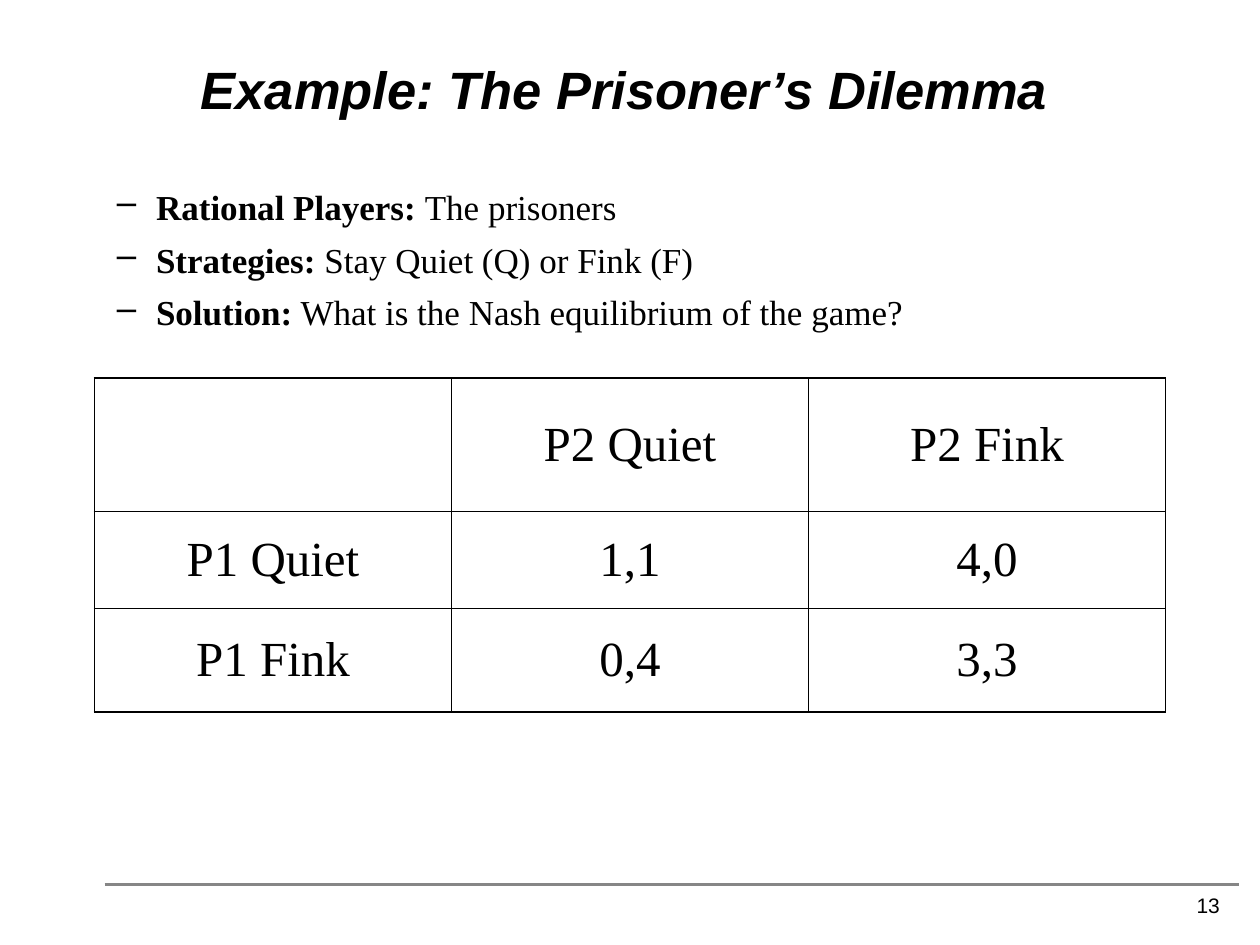
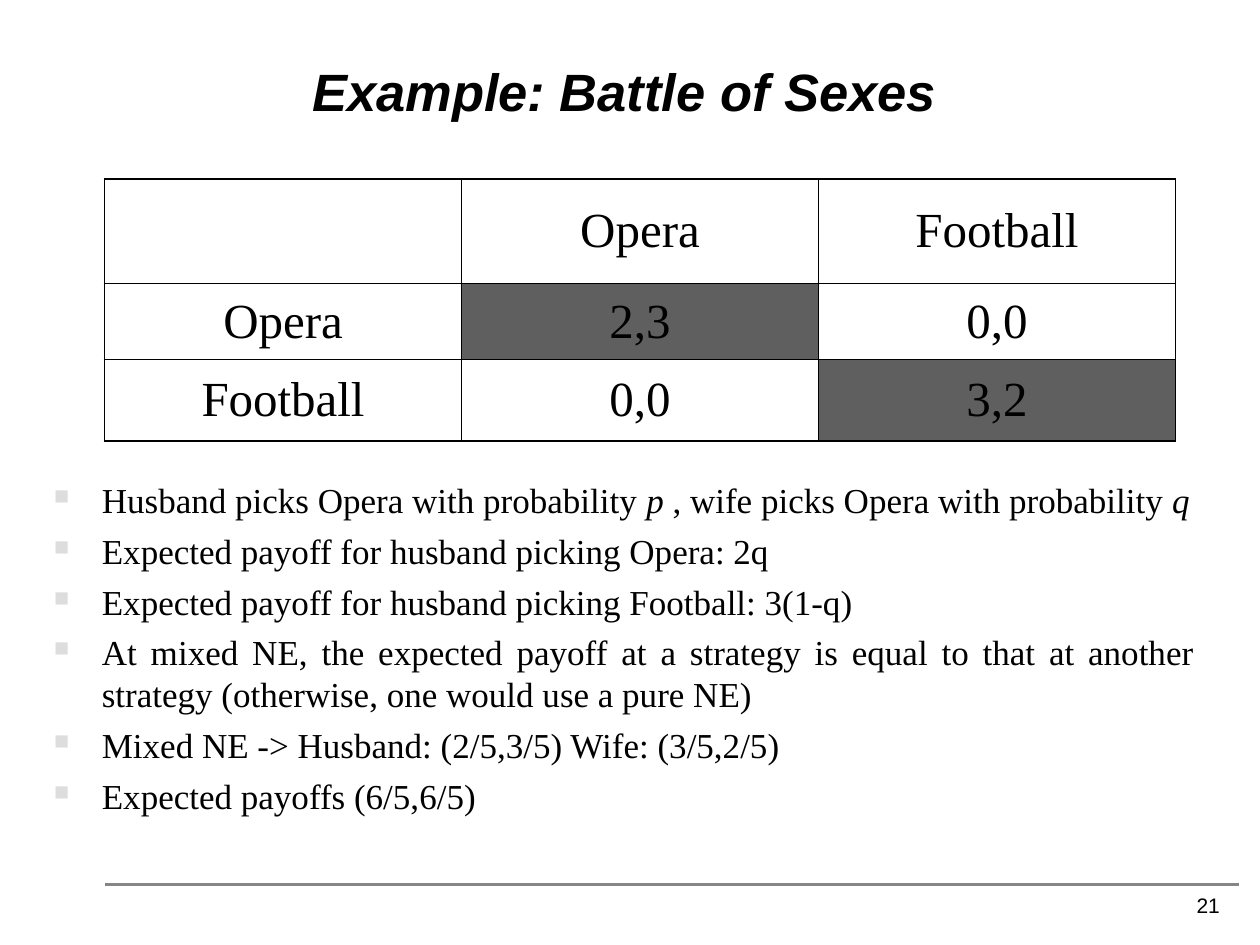
from lxml import etree
from pptx import Presentation
from pptx.dml.color import RGBColor
from pptx.enum.shapes import MSO_CONNECTOR
from pptx.enum.text import MSO_ANCHOR, PP_ALIGN
from pptx.oxml.ns import qn
from pptx.util import Inches, Pt

# Content: runs are (text, style), style being "", "b" or "i"
SLIDES = [
    {
        "number": "13",
        "title": "Example: The Prisoner’s Dilemma",
        "title_box": (0.33, 0.23, 9.25, 0.77),
        "payoffs": [
            ["", "P2 Quiet", "P2 Fink"],
            ["P1 Quiet", "1,1", "4,0"],
            ["P1 Fink", "0,4", "3,3"],
        ],
        "equilibria": [],
        "table_box": (0.75, 3, 8.5, 2.65),
        "bullet_style": "dash",
        "bullet_box": (0.33, 1.42, 9.25, 1.28),
        "bullets": [
            [("Rational Players: ", "b"), ("The prisoners", "")],
            [("Strategies:", "b"), (" Stay Quiet (Q) or Fink (F)", "")],
            [("Solution:", "b"), (" What is the Nash equilibrium of the game?", "")],
        ],
    },
    {
        "number": "21",
        "title": "Example: Battle of Sexes",
        "title_box": (0.33, 0.17, 9.25, 0.85),
        "payoffs": [
            ["", "Opera", "Football"],
            ["Opera", "2,3", "0,0"],
            ["Football", "0,0", "3,2"],
        ],
        "equilibria": [(1, 1), (2, 2)],
        "table_box": (0.83, 1.42, 8.5, 2.08),
        "bullet_style": "square",
        "bullet_box": (0.33, 3.75, 9.25, 2.92),
        "bullets": [
            [("Husband picks Opera with probability ", ""), ("p", "i"),
             (" , wife picks Opera with probability ", ""), ("q", "i")],
            [("Expected payoff for husband picking Opera: 2q", "")],
            [("Expected payoff for husband picking Football: 3(1-q)", "")],
            [("At mixed NE, the expected payoff at a strategy is equal to that at "
              "another strategy (otherwise, one would use a pure NE)", "")],
            [("Mixed NE -> Husband: (2/5,3/5) Wife: (3/5,2/5)", "")],
            [("Expected payoffs (6/5,6/5)", "")],
        ],
    },
]

# Shared look
BLACK = RGBColor(0x00, 0x00, 0x00)
RULE_GRAY = RGBColor(0x86, 0x86, 0x86)
MARKER_GRAY = RGBColor(0xDD, 0xDD, 0xDD)
EQUILIBRIUM_GRAY = RGBColor(0x5F, 0x5F, 0x5F)
SANS, SERIF = "Arial", "Times New Roman"
CENTER, RIGHT, JUSTIFY = PP_ALIGN.CENTER, PP_ALIGN.RIGHT, PP_ALIGN.JUSTIFY
TOP, MIDDLE, BOTTOM = MSO_ANCHOR.TOP, MSO_ANCHOR.MIDDLE, MSO_ANCHOR.BOTTOM
STRAIGHT = MSO_CONNECTOR.STRAIGHT
SLIDE_SIZE = (10, 7.5)
NUMBER_BOX = (7.7, 6.83, 2.08, 0.5)
RULE_ENDS = (0.83, 7.02, 9.83, 7.02)
ROW_SHARES = (0.4, 0.29, 0.31)
OUTER_BORDER, INNER_BORDER = Pt(1.08), Pt(0.45)
BULLET_STYLES = {
    "dash": {"character": "–", "color": BLACK, "percent": 100,
             "margin": 0.81, "hang": 0.31, "before": 0, "after": 6.2},
    "square": {"character": "■", "color": MARKER_GRAY, "percent": 60,
               "margin": 0.38, "hang": 0.38, "before": 5, "after": 0},
}


def inches(lengths):
    return [Inches(length) for length in lengths]


def set_font(paragraph, name, size):
    paragraph.font.name = name
    paragraph.font.size = Pt(size)
    paragraph.font.color.rgb = BLACK


def add_text_frame(slide, box, anchor):
    text_frame = slide.shapes.add_textbox(*inches(box)).text_frame
    text_frame.word_wrap = True
    text_frame.vertical_anchor = anchor
    return text_frame


def add_child(parent, tag, **attributes):
    child = etree.SubElement(parent, qn(tag))
    for name, value in attributes.items():
        child.set(name, str(value))
    return child


def add_title(slide, text, box):
    paragraph = add_text_frame(slide, box, BOTTOM).paragraphs[0]
    paragraph.text = text
    paragraph.alignment = CENTER
    paragraph.line_spacing = 0.85
    set_font(paragraph, SANS, 30)
    paragraph.font.bold = paragraph.font.italic = True


def add_footer(slide, number):
    rule = slide.shapes.add_connector(STRAIGHT, *inches(RULE_ENDS))
    rule.line.color.rgb = RULE_GRAY
    rule.line.width = Pt(2.25)
    add_child(rule._element.spPr, "a:effectLst")
    paragraph = add_text_frame(slide, NUMBER_BOX, BOTTOM).paragraphs[0]
    paragraph.text = number
    paragraph.alignment = RIGHT
    set_font(paragraph, SANS, 12)


def set_bullet(paragraph, style):
    properties = paragraph._p.get_or_add_pPr()
    properties.set("marL", str(Inches(style["margin"])))
    properties.set("indent", str(-Inches(style["hang"])))
    color = add_child(properties, "a:buClr")
    add_child(color, "a:srgbClr", val=style["color"])
    add_child(properties, "a:buSzPct", val=style["percent"] * 1000)
    add_child(properties, "a:buChar", char=style["character"])


def add_bullets(slide, bullets, box, style):
    text_frame = add_text_frame(slide, box, TOP)
    for index, runs in enumerate(bullets):
        paragraph = text_frame.add_paragraph() if index else text_frame.paragraphs[0]
        paragraph.alignment = JUSTIFY
        paragraph.space_before = Pt(style["before"])
        paragraph.space_after = Pt(style["after"])
        set_bullet(paragraph, style)
        set_font(paragraph, SERIF, 20)
        for text, emphasis in runs:
            run = paragraph.add_run()
            run.text = text
            run.font.bold = emphasis == "b"
            run.font.italic = emphasis == "i"


def set_borders(cell, row, column, last):
    outer_sides = {"L": column == 0, "R": column == last,
                   "T": row == 0, "B": row == last}
    properties = cell._tc.get_or_add_tcPr()
    for side, is_outer in outer_sides.items():
        width = OUTER_BORDER if is_outer else INNER_BORDER
        border = add_child(properties, "a:ln" + side, w=width)
        fill = add_child(border, "a:solidFill")
        add_child(fill, "a:srgbClr", val=BLACK)


def add_payoff_table(slide, payoffs, equilibria, box):
    count = len(payoffs)
    table = slide.shapes.add_table(count, count, *inches(box)).table
    table.first_row = table.horz_banding = False
    for index, share in enumerate(ROW_SHARES):
        table.rows[index].height = Inches(box[3] * share)
        table.columns[index].width = Inches(box[2] / count)
    for row, texts in enumerate(payoffs):
        for column, text in enumerate(texts):
            cell = table.cell(row, column)
            cell.vertical_anchor = MIDDLE
            set_borders(cell, row, column, count - 1)
            if (row, column) in equilibria:
                cell.fill.solid()
                cell.fill.fore_color.rgb = EQUILIBRIUM_GRAY
            else:
                cell.fill.background()
            paragraph = cell.text_frame.paragraphs[0]
            paragraph.text = text
            paragraph.alignment = CENTER
            paragraph.space_before = Pt(7)
            set_font(paragraph, SERIF, 28)


def main():
    presentation = Presentation()
    presentation.slide_width, presentation.slide_height = inches(SLIDE_SIZE)
    blank_layout = presentation.slide_layouts[6]
    for content in SLIDES:
        slide = presentation.slides.add_slide(blank_layout)
        add_title(slide, content["title"], content["title_box"])
        add_payoff_table(slide, content["payoffs"], content["equilibria"],
                         content["table_box"])
        add_bullets(slide, content["bullets"], content["bullet_box"],
                    BULLET_STYLES[content["bullet_style"]])
        add_footer(slide, content["number"])
    presentation.save("out.pptx")


if __name__ == "__main__":
    main()
